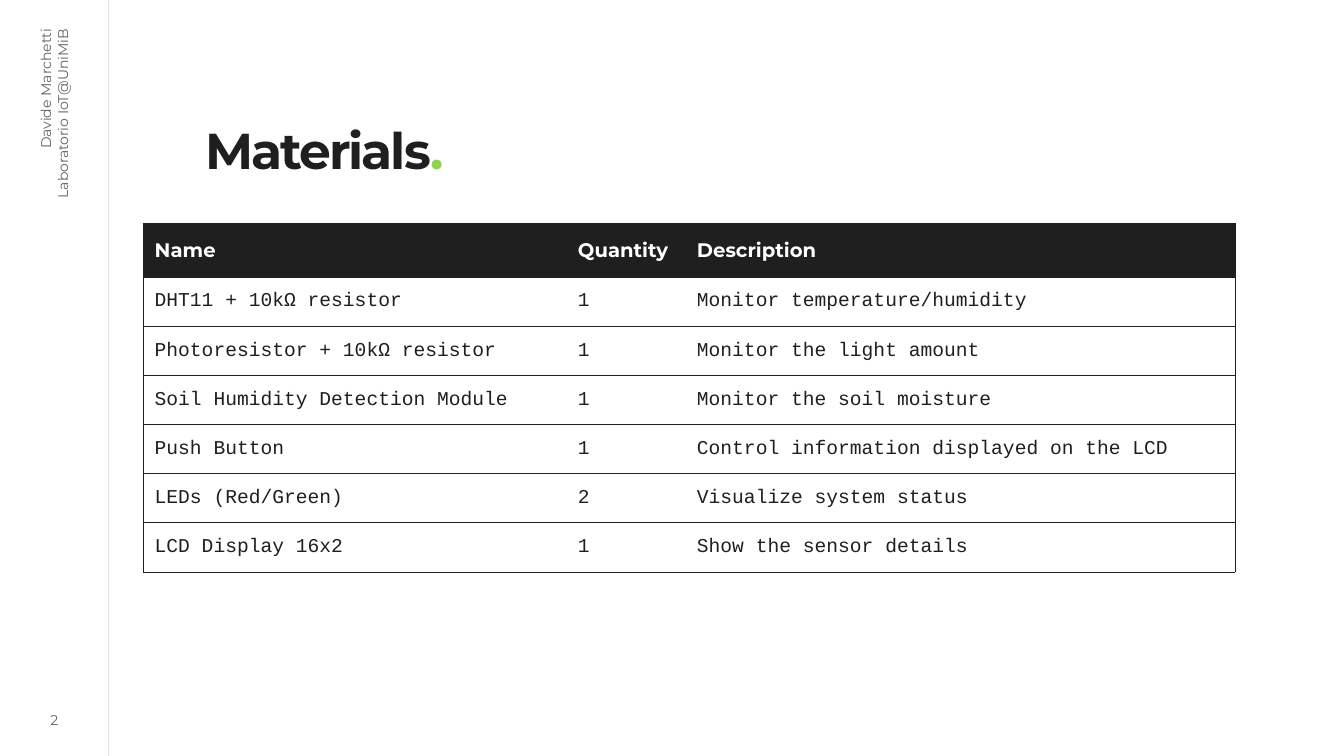
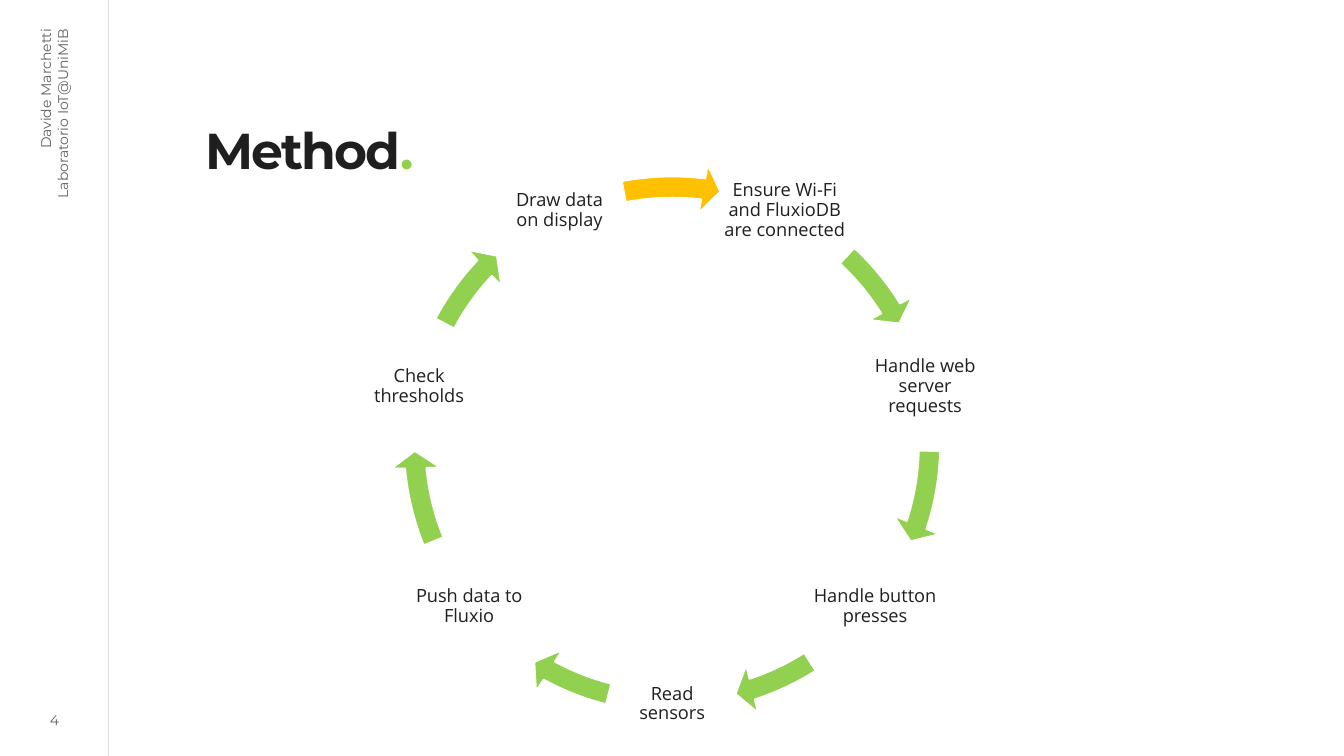
import math
from dataclasses import dataclass

from lxml import etree
from pptx import Presentation
from pptx.dml.color import RGBColor
from pptx.enum import shapes, text
from pptx.oxml import ns
from pptx.util import Pt


@dataclass(frozen=True)
class Theme:
    ink: str = "1F1F1F"
    muted: str = "626262"
    paper: str = "FFFFFF"
    accent: str = "92D050"
    highlight: str = "FFC000"
    rule_opacity: int = 20
    heading_font: str = "Montserrat"
    table_font: str = "Courier New"
    diagram_font: str = "Open Sans"
    title_size: float = 36
    table_size: float = 14
    step_size: float = 13
    small_size: float = 10


THEME = Theme()

# Content
SIDE_LABEL = "Davide Marchetti\vLaboratorio IoT@UniMiB"
MATERIALS = [
    ("Name", "Quantity", "Description"),
    ("DHT11 + 10kΩ resistor", "1", "Monitor temperature/humidity"),
    ("Photoresistor + 10kΩ resistor", "1", "Monitor the light amount"),
    ("Soil Humidity Detection Module", "1", "Monitor the soil moisture"),
    ("Push Button", "1", "Control information displayed on the LCD"),
    ("LEDs (Red/Green)", "2", "Visualize system status"),
    ("LCD Display 16x2", "1", "Show the sensor details"),
]
# Step text, then start and end angle of the arrow that leaves it (degrees clockwise)
METHOD = [
    ("Ensure Wi-Fi and FluxioDB are connected", 312.83, 328.09),
    ("Handle web server requests", 1.4, 18.21),
    ("Handle button presses", 57.6, 71.85),
    ("Read\vsensors", 104.24, 118.49),
    ("Push data to Fluxio", 157.88, 174.69),
    ("Check thresholds", 208, 223.26),
    ("Draw data\von display", 259.17, 276.92),
]

# Geometry in points
SLIDE_WIDTH, SLIDE_HEIGHT = 960, 540
RULE_X = 77.6
TABLE_LEFT, TABLE_TOP = 102.4, 159.6
COLUMN_WIDTHS = (302.4, 85, 392.4)
HEADER_HEIGHT, ROW_HEIGHT = 38.4, 35.1
CYCLE_X, CYCLE_Y, CYCLE_RADIUS = 480.1, 317.5, 185.4
STEP_SIZE, RING_SIZE = 91.4, 403.2
ARROW_THICKNESS, ARROW_HEAD_ANGLE, ARROW_HEAD_WIDTH = 0.038, 3.91, 0.044


def color(value):
    return RGBColor.from_string(value)


def format_run(run, font, size, value, bold=False):
    run.font.name = font
    run.font.size = Pt(size)
    run.font.bold = bold
    run.font.color.rgb = color(value)


def write_text(shape, content, font, size, value, align, anchor, margin=0):
    """Fill a shape with a single formatted, wrapped paragraph."""
    frame = shape.text_frame
    frame.word_wrap = True
    frame.vertical_anchor = anchor
    frame.margin_left = frame.margin_right = Pt(margin)
    frame.margin_top = frame.margin_bottom = Pt(margin / 2)
    paragraph = frame.paragraphs[0]
    paragraph.text = content
    paragraph.alignment = align
    for run in paragraph.runs:
        format_run(run, font, size, value)


def prepare_layout(layout, slide):
    """Give the layout its title position, side rule and side label."""
    title = next(p for p in layout.placeholders if p.placeholder_format.idx == 0)
    title.left, title.top, title.width, title.height = map(Pt, (147, 78.5, 423, 53))
    frame = title.text_frame
    frame.margin_left = frame.margin_right = frame.margin_bottom = 0
    frame.margin_top = Pt(15)
    frame.vertical_anchor = text.MSO_ANCHOR.TOP
    frame.auto_size = text.MSO_AUTO_SIZE.NONE

    rule = slide.shapes.add_connector(
        shapes.MSO_CONNECTOR.STRAIGHT, Pt(RULE_X), 0, Pt(RULE_X), Pt(SLIDE_HEIGHT))
    rule.line.color.rgb = color(THEME.ink)
    rule.line.width = Pt(0.5)
    rule_color = next(rule.element.spPr.iter(ns.qn("a:srgbClr")))
    etree.SubElement(rule_color, ns.qn("a:alpha"), val=str(THEME.rule_opacity * 1000))
    etree.SubElement(rule.element.spPr, ns.qn("a:effectLst"))

    label = slide.shapes.add_textbox(*map(Pt, (-45, 81.7, 167.8, 31.7)))
    write_text(label, SIDE_LABEL, THEME.heading_font, THEME.small_size, THEME.muted,
               text.PP_ALIGN.RIGHT, text.MSO_ANCHOR.TOP, margin=7.2)
    label.rotation = 270
    for shape in (rule, label):
        layout.shapes.element.append(shape.element)


def dress_slide(slide, title, number):
    """Fill the title with its coloured full stop, and add the page number."""
    paragraph = slide.shapes.title.text_frame.paragraphs[0]
    paragraph.alignment = text.PP_ALIGN.LEFT
    paragraph.line_spacing = 0.8
    for content, value in ((title, THEME.ink), (".", THEME.accent)):
        run = paragraph.add_run()
        run.text = content
        format_run(run, THEME.heading_font, THEME.title_size, value, bold=True)
        run.font._element.set("spc", "-150")
    page_number = slide.shapes.add_textbox(*map(Pt, (18.7, 505.4, 40.3, 18)))
    write_text(page_number, str(number), THEME.heading_font, THEME.small_size,
               THEME.muted, text.PP_ALIGN.CENTER, text.MSO_ANCHOR.MIDDLE)


def set_borders(cell, visible_sides):
    properties = cell._tc.get_or_add_tcPr()
    for side in "LRTB":
        line = etree.SubElement(properties, ns.qn(f"a:ln{side}"), w=str(Pt(0.5)))
        if side in visible_sides:
            fill = etree.SubElement(line, ns.qn("a:solidFill"))
            etree.SubElement(fill, ns.qn("a:srgbClr"), val=THEME.ink)
        else:
            etree.SubElement(line, ns.qn("a:noFill"))


def add_materials_table(slide):
    heights = [HEADER_HEIGHT] + [ROW_HEIGHT] * (len(MATERIALS) - 1)
    box = (TABLE_LEFT, TABLE_TOP, sum(COLUMN_WIDTHS), sum(heights))
    table = slide.shapes.add_table(
        len(MATERIALS), len(COLUMN_WIDTHS), *map(Pt, box)).table
    table.first_row = table.horz_banding = False
    for column, width in zip(table.columns, COLUMN_WIDTHS):
        column.width = Pt(width)
    last_column = len(COLUMN_WIDTHS) - 1
    for row_index, (values, height) in enumerate(zip(MATERIALS, heights)):
        table.rows[row_index].height = Pt(height)
        is_header = row_index == 0
        for column_index, value in enumerate(values):
            cell = table.cell(row_index, column_index)
            cell.text = value
            cell.vertical_anchor = text.MSO_ANCHOR.MIDDLE
            cell.margin_left = cell.margin_right = Pt(8.1)
            sides = "TB" + "L" * (column_index == 0) + "R" * (column_index == last_column)
            set_borders(cell, sides)
            if is_header:
                cell.fill.solid()
                cell.fill.fore_color.rgb = color(THEME.ink)
            else:
                cell.fill.background()
            format_run(cell.text_frame.paragraphs[0].runs[0],
                       THEME.heading_font if is_header else THEME.table_font,
                       THEME.table_size, THEME.paper if is_header else THEME.ink,
                       bold=is_header)


def add_step(slide, center_x, center_y, content):
    """Add an unfilled square outline that carries a step's text."""
    left, top = center_x - STEP_SIZE / 2, center_y - STEP_SIZE / 2
    right, bottom = left + STEP_SIZE, top + STEP_SIZE
    builder = slide.shapes.build_freeform(Pt(left), Pt(top))
    corners = ((right, top), (right, bottom), (left, bottom))
    builder.add_line_segments([(Pt(x), Pt(y)) for x, y in corners], close=True)
    step = builder.convert_to_shape()
    step.shadow.inherit = False
    step.fill.background()
    step.line.fill.background()
    write_text(step, content, THEME.diagram_font, THEME.step_size, THEME.ink,
               text.PP_ALIGN.CENTER, text.MSO_ANCHOR.MIDDLE, margin=1.3)
    step.text_frame.paragraphs[0].line_spacing = 0.9


def add_cycle_arrow(slide, start, end, value):
    arrow = slide.shapes.add_shape(
        shapes.MSO_SHAPE.CIRCULAR_ARROW, Pt(CYCLE_X - RING_SIZE / 2),
        Pt(CYCLE_Y - RING_SIZE / 2), Pt(RING_SIZE), Pt(RING_SIZE))
    # Angles are stored in 60000ths of a degree, adjustments in 100000ths
    angle_unit = 0.6
    settings = (ARROW_THICKNESS, ARROW_HEAD_ANGLE * angle_unit, end * angle_unit,
                start * angle_unit, ARROW_HEAD_WIDTH)
    for index, setting in enumerate(settings):
        arrow.adjustments[index] = setting
    arrow.shadow.inherit = False
    arrow.fill.solid()
    arrow.fill.fore_color.rgb = color(value)
    arrow.line.color.rgb = color(THEME.paper)
    arrow.line.width = Pt(1.5)


def add_method_cycle(slide):
    """Spread the steps evenly on a circle, the top gap centred."""
    turn = 2 * math.pi / len(METHOD)
    for index, (step, start, end) in enumerate(METHOD):
        angle = -math.pi / 2 + turn * (index + 0.5)
        add_step(slide, CYCLE_X + CYCLE_RADIUS * math.cos(angle),
                 CYCLE_Y + CYCLE_RADIUS * math.sin(angle), step)
        closes_loop = index == len(METHOD) - 1
        add_cycle_arrow(slide, start, end,
                        THEME.highlight if closes_loop else THEME.accent)


def main():
    presentation = Presentation()
    presentation.slide_width, presentation.slide_height = Pt(SLIDE_WIDTH), Pt(SLIDE_HEIGHT)
    layout = presentation.slide_layouts.get_by_name("Title Only")
    pages = [("Materials", 2, add_materials_table), ("Method", 4, add_method_cycle)]
    for index, (title, number, add_content) in enumerate(pages):
        slide = presentation.slides.add_slide(layout)
        if index == 0:
            prepare_layout(layout, slide)
        dress_slide(slide, title, number)
        add_content(slide)
    presentation.save("out.pptx")


if __name__ == "__main__":
    main()
